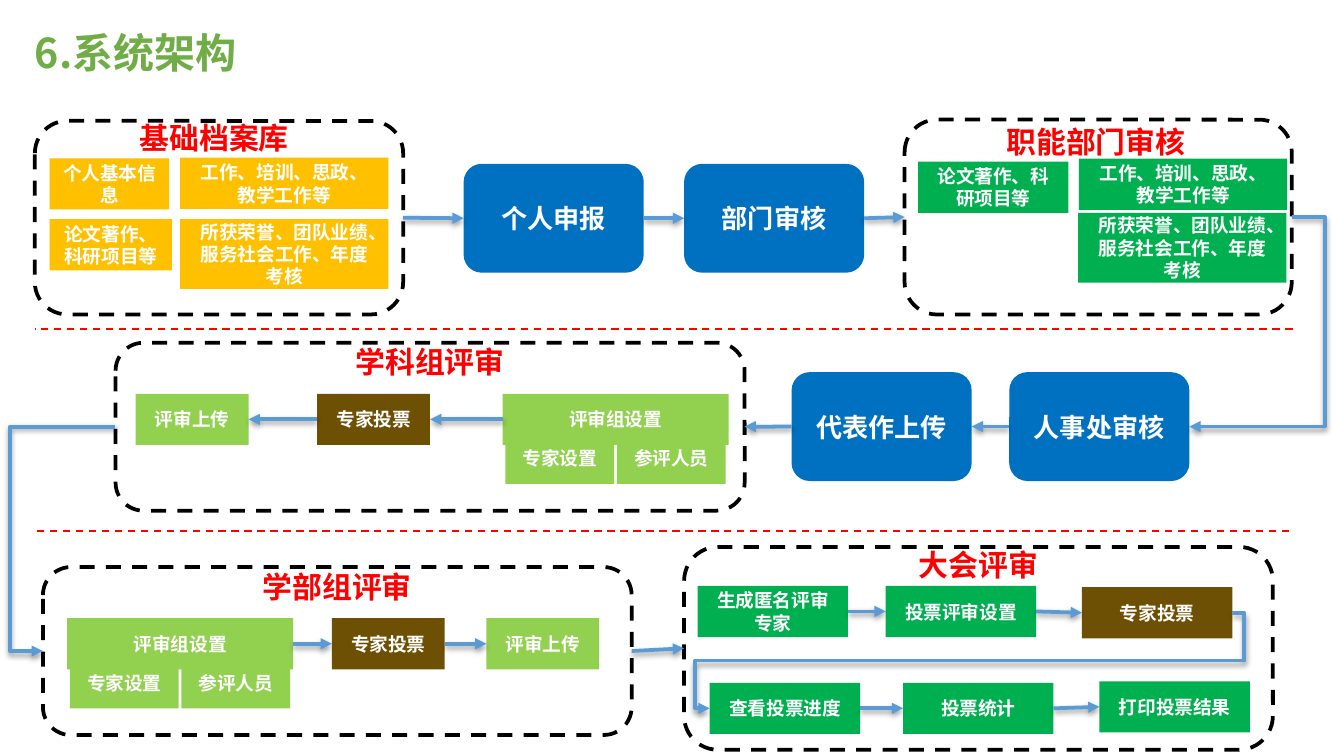
from dataclasses import dataclass

from lxml import etree
from pptx import Presentation
from pptx.dml.color import RGBColor
from pptx.enum import dml, shapes, text
from pptx.oxml import ns
from pptx.util import Pt


@dataclass(frozen=True)
class Theme:
    """Colours, fonts and type sizes of the slide."""
    title: str = "70AD47"
    heading: str = "FF0000"
    stage: str = "0070C0"
    archive: str = "FFC000"
    office: str = "00B050"
    review: str = "92D050"
    vote: str = "6E5004"
    arrow: str = "5B9BD5"
    frame: str = "000000"
    light: str = "FFFFFF"
    latin: str = "Arial"
    cjk: str = "Noto Sans CJK SC"
    title_size: float = 22
    heading_size: float = 16
    stage_size: float = 14
    node_size: float = 10


@dataclass(frozen=True)
class Node:
    """A filled box with a label."""
    key: str
    label: str
    x: float
    y: float
    w: float
    h: float
    fill: str
    size: float = 10
    rounded: bool = False


@dataclass(frozen=True)
class Frame:
    """A dashed frame and the place of its heading."""
    key: str
    label: str
    box: tuple[float, float, float, float]
    heading: tuple[float, float, float, float]


@dataclass(frozen=True)
class Link:
    """An arrow between two sides; adjustments make it an elbow."""
    start: str
    end: str
    start_side: int
    end_side: int
    adjust: tuple[float, ...] = ()


T = Theme()
LEFT, RIGHT = 1, 3
ROW_H, TALL_H = 27.4, 37.4

FRAMES = [
    Frame("archive", "基础档案库", (18.7, 64.8, 197.3, 103.7), (49.7, 60.5, 130.3, 26.6)),
    Frame("office", "职能部门审核", (484.6, 64.1, 207.4, 104.4), (522, 62.6, 130.3, 26.6)),
    Frame("subject", "学科组评审", (61.9, 183.6, 337, 90), (61.9, 180.7, 337, 15.8)),
    Frame("division", "学部组评审", (23, 303.8, 315.4, 90), (23, 301, 315.4, 26.6)),
    Frame("assembly", "大会评审", (366.5, 293, 315.4, 108.7), (366.5, 289.4, 315.4, 26.6)),
]


def stage(key: str, label: str, x: float, y: float) -> Node:
    """Describe one main step."""
    return Node(key, label, x, y, 96.5, 58.3, T.stage, T.stage_size, True)


def step(key: str, label: str, x: float, y: float, fill: str = T.office) -> Node:
    """Describe one step of the assembly review."""
    return Node(key, label, x, y, 80.6, ROW_H, fill)


def review_group(key: str, y: float, setup: float, vote: float, upload: float) -> list[Node]:
    """Describe the five boxes of a review group."""
    return [
        Node(key + "_setup", "评审组设置", setup, y, 121, ROW_H, T.review),
        Node(key + "_experts", "专家设置", setup + 1.4, y + 20.9, 58.3, ROW_H, T.review),
        Node(key + "_people", "参评人员", setup + 61.2, y + 20.9, 58.3, ROW_H, T.review),
        Node(key + "_vote", "专家投票", vote, y, 60.5, ROW_H, T.vote),
        Node(key + "_upload", "评审上传", upload, y, 60.5, ROW_H, T.review),
    ]


WORK = "工作、培训、思政、教学工作等"
PAPERS = "论文著作、科研项目等"
HONOURS = "所获荣誉、团队业绩、服务社会工作、年度考核"

NODES = [
    stage("apply", "个人申报", 248.4, 87.8),
    stage("department", "部门审核", 366.5, 87.8),
    stage("personnel", "人事处审核", 540.7, 199.4),
    stage("works", "代表作上传", 424.1, 199.4),
    Node("info", "个人基本信息", 26.6, 84.8, 64.1, ROW_H, T.archive),
    Node("work", WORK, 96.5, 84.5, 111.6, ROW_H, T.archive),
    Node("papers", PAPERS, 26.6, 117.4, 65.5, ROW_H, T.archive),
    Node("honours", HONOURS, 96.5, 117.4, 111.6, TALL_H, T.archive),
    Node("office_work", WORK, 578, 85, 111.6, ROW_H, T.office),
    Node("office_papers", PAPERS, 491.8, 86.6, 80.6, ROW_H, T.office),
    Node("office_honours", HONOURS, 577.6, 114, 111.6, TALL_H, T.office),
    *review_group("subject", 211, 269.3, 169.9, 72.7),
    *review_group("division", 331.2, 36, 177.8, 260.6),
    step("experts", "生成匿名评审专家", 373.7, 313.9),
    step("settings", "投票评审设置", 474.5, 313.9),
    step("vote", "专家投票", 579.6, 314.6, T.vote),
    step("progress", "查看投票进度", 380.2, 365.8),
    step("count", "投票统计", 483.8, 365.8),
    step("print", "打印投票结果", 589, 365),
]

RIGHTWARD = [
    ("archive", "apply"), ("apply", "department"), ("department", "office"),
    ("division_setup", "division_vote"), ("division_vote", "division_upload"),
    ("division", "assembly"), ("experts", "settings"), ("settings", "vote"),
    ("progress", "count"), ("count", "print"),
]
LEFTWARD = [
    ("personnel", "works"), ("works", "subject"),
    ("subject_setup", "subject_vote"), ("subject_vote", "subject_upload"),
]
LINKS = [
    *(Link(a, b, RIGHT, LEFT) for a, b in RIGHTWARD),
    *(Link(a, b, LEFT, RIGHT) for a, b in LEFTWARD),
    Link("office", "personnel", RIGHT, RIGHT, (-0.324,)),
    Link("subject", "division", LEFT, LEFT, (1.455,)),
    Link("vote", "progress", RIGHT, LEFT, (-0.023, 0.5, 1.028)),
]
DIVIDERS = [(692.6, 18.7, 176.4), (690.5, 17.3, 284.4)]


def rgb(value: str) -> RGBColor:
    """Turn a hex string into a colour."""
    return RGBColor.from_string(value)


def sub(parent, tag: str, **attrs):
    """Append a DrawingML element."""
    return etree.SubElement(parent, ns.qn("a:" + tag), attrs)


def write(sp, label: str, size: float, color: str, font: str = T.latin,
          align=text.PP_ALIGN.CENTER) -> None:
    """Set and format the text of a shape."""
    tf = sp.text_frame
    tf.text = label
    tf.word_wrap = True
    p = tf.paragraphs[0]
    p.alignment = align
    f = p.runs[0].font
    f.size, f.bold, f.name = Pt(size), True, font
    f.color.rgb = rgb(color)
    sub(p.runs[0]._r.get_or_add_rPr(), "ea", typeface=T.cjk)


def add_title(s) -> None:
    """Place the slide title."""
    sp = s.shapes.title
    sp.left, sp.top, sp.width, sp.height = map(Pt, (18.7, 17.3, 136.8, 24))
    write(sp, "6.系统架构", T.title_size, T.title, T.cjk, text.PP_ALIGN.LEFT)
    tf = sp.text_frame
    tf.margin_left = tf.margin_right = tf.margin_top = tf.margin_bottom = 0
    tf.vertical_anchor = text.MSO_ANCHOR.TOP
    tf.auto_size = text.MSO_AUTO_SIZE.SHAPE_TO_FIT_TEXT
    tf.paragraphs[0].line_spacing = Pt(24)


def add_frame(s, frame: Frame):
    """Draw a dashed frame with its heading."""
    tb = s.shapes.add_textbox(*map(Pt, frame.heading))
    write(tb, frame.label, T.heading_size, T.heading)
    tb.text_frame.auto_size = text.MSO_AUTO_SIZE.SHAPE_TO_FIT_TEXT
    sp = s.shapes.add_shape(shapes.MSO_SHAPE.ROUNDED_RECTANGLE, *map(Pt, frame.box))
    sp.shadow.inherit = False
    sp.fill.background()
    sp.line.color.rgb = rgb(T.frame)
    sp.line.width = Pt(2)
    sp.line.dash_style = dml.MSO_LINE.DASH
    return sp


def add_node(s, node: Node):
    """Draw a filled box with its label."""
    kind = shapes.MSO_SHAPE.ROUNDED_RECTANGLE if node.rounded else shapes.MSO_SHAPE.RECTANGLE
    sp = s.shapes.add_shape(kind, *map(Pt, (node.x, node.y, node.w, node.h)))
    sp.shadow.inherit = False
    sp.fill.solid()
    sp.fill.fore_color.rgb = rgb(node.fill)
    sp.line.fill.background()
    write(sp, node.label, node.size, T.light)
    sp.text_frame.vertical_anchor = text.MSO_ANCHOR.MIDDLE
    return sp


def side_point(sp, side: int) -> tuple[int, int]:
    """Return the middle of the left or right side."""
    return sp.left + (sp.width if side == RIGHT else 0), sp.top + sp.height // 2


def add_link(s, link: Link, drawn: dict) -> None:
    """Draw an arrow with a soft shadow."""
    start, end = drawn[link.start], drawn[link.end]
    kind = shapes.MSO_CONNECTOR.ELBOW if link.adjust else shapes.MSO_CONNECTOR.STRAIGHT
    c = s.shapes.add_connector(kind, *side_point(start, link.start_side),
                               *side_point(end, link.end_side))
    c.line.color.rgb = rgb(T.arrow)
    c.line.width = Pt(2)
    sub(c.line._get_or_add_ln(), "tailEnd", type="triangle")
    sp_pr = c._element.spPr
    if link.adjust:
        geom = sp_pr.find(ns.qn("a:prstGeom"))
        geom.set("prst", f"bentConnector{len(link.adjust) + 2}")
        av = geom.find(ns.qn("a:avLst"))
        for i, value in enumerate(link.adjust, 1):
            sub(av, "gd", name=f"adj{i}", fmla=f"val {round(value * 100000)}")
    else:
        c.begin_connect(start, link.start_side)
        c.end_connect(end, link.end_side)
    shadow = sub(sub(sp_pr, "effectLst"), "outerShdw", blurRad=str(Pt(3.1)),
                 dist=str(Pt(1.6)), dir="5400000", rotWithShape="0")
    sub(sub(shadow, "srgbClr", val=T.frame), "alpha", val="38000")


def add_divider(s, x1: float, x2: float, y: float) -> None:
    """Draw a dashed line between two rows."""
    c = s.shapes.add_connector(shapes.MSO_CONNECTOR.STRAIGHT, *map(Pt, (x1, y, x2, y)))
    c.line.color.rgb = rgb(T.heading)
    c.line.width = Pt(1)
    c.line.dash_style = dml.MSO_LINE.DASH
    sub(c._element.spPr, "effectLst")


prs = Presentation()
prs.slide_width, prs.slide_height = Pt(720), Pt(405)
s = prs.slides.add_slide(prs.slide_layouts[5])
add_title(s)
drawn = {frame.key: add_frame(s, frame) for frame in FRAMES}
drawn.update((node.key, add_node(s, node)) for node in NODES)
for divider in DIVIDERS:
    add_divider(s, *divider)
for link in LINKS:
    add_link(s, link, drawn)
prs.save("out.pptx")
